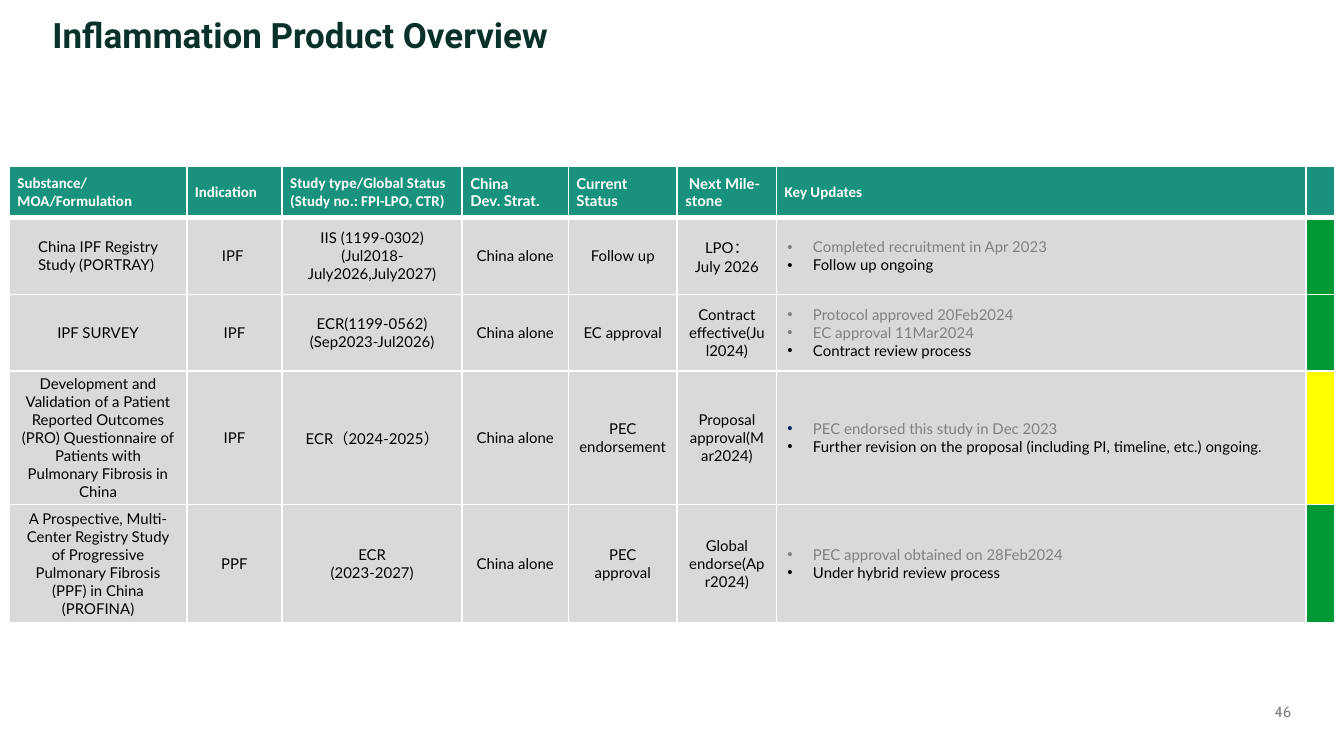
from lxml import etree
from pptx import Presentation
from pptx.dml.color import RGBColor
from pptx.enum import text
from pptx.oxml import ns
from pptx.util import Inches, Pt

WHITE = RGBColor(0xFF, 0xFF, 0xFF)
BLACK = RGBColor(0, 0, 0)
TEAL = RGBColor(0x18, 0x92, 0x7D)
DARK_GREEN = RGBColor(0x08, 0x31, 0x2A)
LIGHT_GRAY = RGBColor(0xD9, 0xD9, 0xD9)
GRAY = RGBColor(0x80, 0x80, 0x80)
NAVY = RGBColor(0x00, 0x20, 0x60)
GREEN = RGBColor(0x00, 0x99, 0x33)
YELLOW = RGBColor(0xFF, 0xFF, 0x00)

COLUMN_WIDTHS = [1.32, 0.71, 1.34, 0.79, 0.81, 0.74, 3.94, 0.21]
ROW_HEIGHTS = [0.38, 0.57, 0.57, 0.99, 0.88]
HEADINGS = [
    (["Substance/", "MOA/Formulation"], "Calibri"),
    (["Indication"], "Calibri"),
    (["Study type/Global Status", "(Study no.: FPI-LPO, CTR)"], "Calibri"),
    (["China ", "Dev. Strat."], "Lato"),
    (["Current Status"], "Lato"),
    ([" Next Mile-stone"], "Lato"),
    (["Key Updates"], "Calibri"),
]
STUDIES = [
    ([["China IPF Registry Study (PORTRAY) "], ["IPF "],
      ["IIS (1199-0302)", "(Jul2018-July2026,July2027)"],
      ["China alone"], ["Follow up"], ["LPO：", "July 2026"]],
     ["Completed recruitment in Apr 2023", "Follow up ongoing"], GRAY, GREEN),
    ([["IPF SURVEY"], ["IPF"], ["ECR(1199-0562)", "(Sep2023-Jul2026)"],
      ["China alone"], ["EC approval"], ["Contract effective(Jul2024)"]],
     ["Protocol approved 20Feb2024", "EC approval 11Mar2024",
      "Contract review process"], GRAY, GREEN),
    ([["Development and Validation of a Patient Reported Outcomes (PRO) "
       "Questionnaire of Patients with Pulmonary Fibrosis in China"], ["IPF"],
      ["ECR（2024-2025）"], ["China alone"], ["PEC endorsement"],
      ["Proposal approval(Mar2024)"]],
     ["PEC endorsed this study in Dec 2023",
      "Further revision on the proposal (including PI, timeline, etc.) ongoing."],
     NAVY, YELLOW),
    ([["A Prospective, Multi-Center Registry Study of Progressive Pulmonary "
       "Fibrosis (PPF) in China (PROFINA)"], ["PPF"], ["ECR", "(2023-2027)"],
      ["China alone"], ["PEC approval"], ["Global endorse(Apr2024)"]],
     ["PEC approval obtained on 28Feb2024", "Under hybrid review process"],
     GRAY, GREEN),
]


def add_bullet(para, color):
    props = para._p.get_or_add_pPr()
    props.set("marL", str(Inches(0.19)))
    props.set("indent", str(-Inches(0.19)))
    fill = etree.SubElement(props, ns.qn("a:buClr"))
    etree.SubElement(fill, ns.qn("a:srgbClr"), val=str(color))
    etree.SubElement(props, ns.qn("a:buFont"), typeface="Arial")
    etree.SubElement(props, ns.qn("a:buChar"), char="•")


def write(frame, lines, font="Lato", size=8, color=BLACK, bold=False,
          align=text.PP_ALIGN.LEFT, bullet=None):
    for index, line in enumerate(lines):
        para = frame.paragraphs[0] if index == 0 else frame.add_paragraph()
        para.alignment = align
        is_last = index == len(lines) - 1
        if bullet is not None:
            add_bullet(para, BLACK if is_last else bullet)
        span = para.add_run()
        span.text = line
        span.font.name = font
        span.font.size = Pt(size)
        span.font.bold = bold
        span.font.color.rgb = GRAY if bullet is not None and not is_last else color


def clear_margins(frame):
    frame.margin_left = frame.margin_right = 0
    frame.margin_top = frame.margin_bottom = 0
    frame.word_wrap = True
    frame.auto_size = text.MSO_AUTO_SIZE.NONE


def format_cell(cell, fill, side, edge, top=1, bottom=1):
    cell.margin_left = cell.margin_right = Inches(side)
    cell.margin_top = cell.margin_bottom = Inches(edge)
    cell.vertical_anchor = text.MSO_ANCHOR.MIDDLE
    props = cell._tc.get_or_add_tcPr()
    for name, width in (("lnL", 1), ("lnR", 1), ("lnT", top), ("lnB", bottom)):
        border = etree.SubElement(props, ns.qn("a:" + name), w=str(Pt(width)))
        paint = etree.SubElement(border, ns.qn("a:solidFill"))
        etree.SubElement(paint, ns.qn("a:srgbClr"), val=str(WHITE))
    cell.fill.solid()
    cell.fill.fore_color.rgb = fill


def add_title(page):
    title = page.shapes.title
    title.left, title.top = Inches(0.39), Inches(0.1)
    title.width, title.height = Inches(9.21), Inches(0.41)
    clear_margins(title.text_frame)
    title.text_frame.vertical_anchor = text.MSO_ANCHOR.TOP
    write(title.text_frame, ["Inflammation Product Overview"], font="Roboto",
          size=18.75, color=DARK_GREEN, bold=True)


def add_page_number(page):
    box = page.shapes.add_textbox(Inches(9.37), Inches(5.12), Inches(0.24), Inches(0.24))
    clear_margins(box.text_frame)
    box.text_frame.vertical_anchor = text.MSO_ANCHOR.BOTTOM
    write(box.text_frame, ["46"], font="Cabin", color=GRAY, align=text.PP_ALIGN.RIGHT)


def add_study_table(page):
    table = page.shapes.add_table(
        len(ROW_HEIGHTS), len(COLUMN_WIDTHS), Inches(0.07), Inches(1.24),
        Inches(sum(COLUMN_WIDTHS)), Inches(sum(ROW_HEIGHTS))).table
    for column, width in zip(table.columns, COLUMN_WIDTHS):
        column.width = Inches(width)
    for row, height in zip(table.rows, ROW_HEIGHTS):
        row.height = Inches(height)

    for cell in table.rows[0].cells:
        format_cell(cell, TEAL, 0.06, 0.02, bottom=3)
    for cell, (lines, font) in zip(table.rows[0].cells, HEADINGS):
        write(cell.text_frame, lines, font=font, color=WHITE, bold=True)

    for number, (facts, updates, bullet, status) in enumerate(STUDIES, 1):
        cells = list(table.rows[number].cells)
        edge = 0.03 if number % 2 else 0.04
        for cell in cells:
            format_cell(cell, status if cell is cells[-1] else LIGHT_GRAY,
                        0.08, edge, top=3 if number == 1 else 1)
        for cell, lines in zip(cells, facts):
            write(cell.text_frame, lines, align=text.PP_ALIGN.CENTER)
        write(cells[6].text_frame, updates, bullet=bullet)


def main():
    deck = Presentation()
    deck.slide_width = Inches(10)
    deck.slide_height = deck.slide_width * 9 // 16
    page = deck.slides.add_slide(deck.slide_layouts[5])
    add_title(page)
    add_page_number(page)
    add_study_table(page)
    deck.save("out.pptx")


if __name__ == "__main__":
    main()
